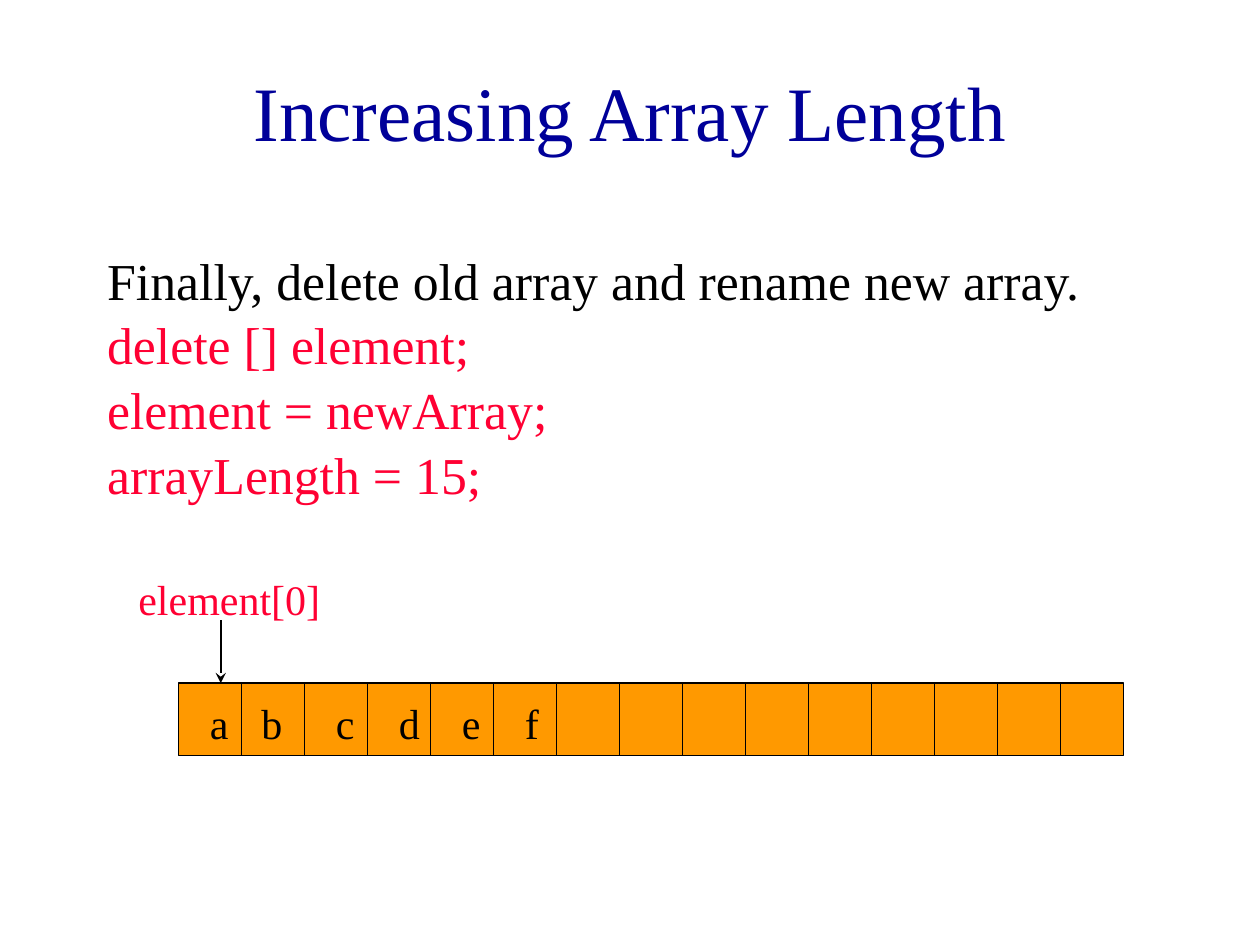
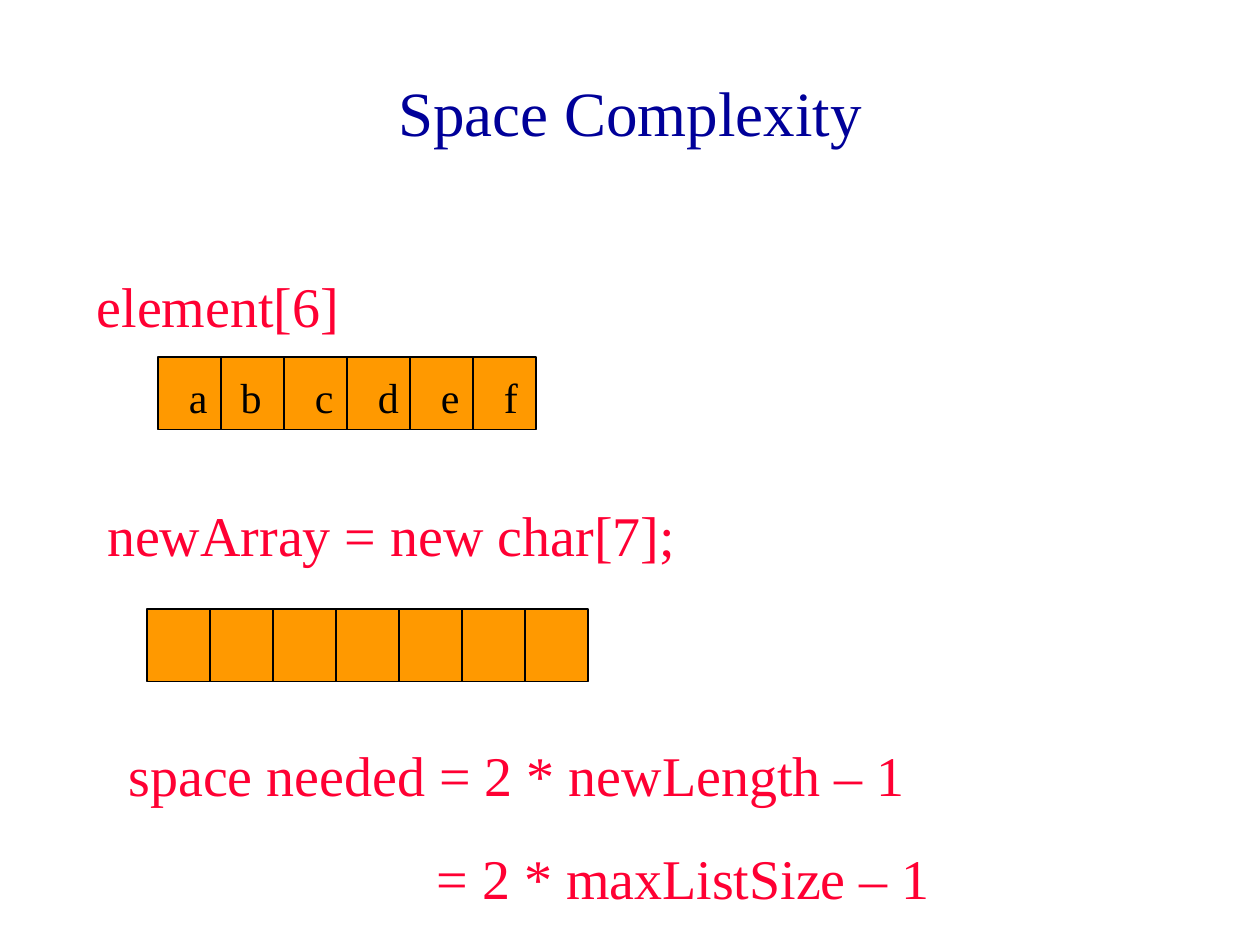
"""Build two slides on growing an array and the space that it needs."""
from dataclasses import dataclass

from lxml.etree import SubElement
from pptx import Presentation
from pptx.dml.color import RGBColor
from pptx.enum.shapes import MSO_CONNECTOR as Connector, MSO_SHAPE as Preset
from pptx.enum.text import MSO_ANCHOR as Anchor, MSO_AUTO_SIZE as AutoSize, PP_ALIGN as Align
from pptx.oxml.ns import qn
from pptx.slide import Slide
from pptx.text.text import TextFrame
from pptx.util import Cm, Pt

NAVY = RGBColor(0x00, 0x00, 0x99)
RED = RGBColor(0xFF, 0x00, 0x33)
ORANGE = RGBColor(0xFF, 0x99, 0x00)
BLACK = RGBColor(0x00, 0x00, 0x00)
FONT = "Times New Roman"
LINE_WIDTH = Pt(1)
CELL_WIDTH = 1.27
CELL_HEIGHT = 1.46
LETTER_INSET = 0.38
LETTER_DROP = 0.16
B_SHIFT = 0.23


@dataclass
class Area:
    left: float
    top: float
    width: float
    height: float

    def lengths(self) -> tuple[Cm, Cm, Cm, Cm]:
        return Cm(self.left), Cm(self.top), Cm(self.width), Cm(self.height)


@dataclass
class Line:
    text: str
    color: RGBColor = RED
    before: float = 0
    indent: float = 0


@dataclass
class CharArray:
    left: float
    top: float
    cells: int
    letters: str = ""


def write(frame: TextFrame, lines: list[Line], *, size: float, align: Align = Align.LEFT,
          anchor: Anchor = Anchor.TOP, spacing: float = 1.0) -> None:
    frame.word_wrap = True
    frame.auto_size = AutoSize.NONE
    frame.vertical_anchor = anchor
    for index, line in enumerate(lines):
        para = frame.add_paragraph() if index else frame.paragraphs[0]
        if line.indent:
            para._p.get_or_add_pPr().set("marL", str(Cm(line.indent)))
        para.alignment = align
        para.line_spacing = spacing
        para.space_before = Pt(line.before)
        span = para.add_run()
        span.text = line.text
        span.font.name = FONT
        span.font.size = Pt(size)
        span.font.color.rgb = line.color


def add_text(page: Slide, area: Area, lines: list[Line], *, size: float,
             spacing: float = 1.0) -> None:
    box = page.shapes.add_textbox(*area.lengths())
    write(box.text_frame, lines, size=size, spacing=spacing)


def add_page(deck: Presentation, title: str, area: Area, *, size: float) -> Slide:
    page = deck.slides.add_slide(deck.slide_layouts[5])
    heading = page.shapes.title
    heading.left, heading.top, heading.width, heading.height = area.lengths()
    write(heading.text_frame, [Line(title, NAVY)], size=size,
          align=Align.CENTER, anchor=Anchor.MIDDLE)
    return page


def add_vertical(page: Slide, x: float, top: float, bottom: float, *,
                 arrow: bool = False) -> None:
    line = page.shapes.add_connector(Connector.STRAIGHT, Cm(x), Cm(top), Cm(x), Cm(bottom))
    line.line.color.rgb = BLACK
    line.line.width = LINE_WIDTH
    if arrow:
        SubElement(line.line._get_or_add_ln(), qn("a:tailEnd"), type="stealth")
    SubElement(line._element.spPr, qn("a:effectLst"))


def draw_array(page: Slide, array: CharArray) -> None:
    area = Area(array.left, array.top, array.cells * CELL_WIDTH, CELL_HEIGHT)
    strip = page.shapes.add_shape(Preset.RECTANGLE, *area.lengths())
    strip.shadow.inherit = False
    strip.fill.solid()
    strip.fill.fore_color.rgb = ORANGE
    strip.line.color.rgb = BLACK
    strip.line.width = LINE_WIDTH
    for index in range(1, array.cells):
        add_vertical(page, array.left + index * CELL_WIDTH, array.top, array.top + CELL_HEIGHT)
    for index, letter in enumerate(array.letters):
        x = array.left + LETTER_INSET + index * CELL_WIDTH - (B_SHIFT if letter == "b" else 0)
        add_text(page, Area(x, array.top + LETTER_DROP, 1.0, 1.27), [Line(letter, BLACK)], size=24)


def build_length_page(deck: Presentation) -> None:
    page = add_page(deck, "Increasing Array Length", Area(1.91, 0.64, 21.59, 3.18), size=44)
    add_text(page, Area(1.91, 4.88, 22.86, 5.69), [
        Line("Finally, delete old array and rename new array.", BLACK),
        Line("delete [] element;", before=1.6),
        Line("element = newArray;", before=1.6),
        Line("arrayLength = 15;", before=1.6),
    ], size=29.6)
    draw_array(page, CharArray(3.6, 13.77, 15, "abcdef"))
    add_text(page, Area(2.54, 11.43, 5.72, 1.27), [Line("element[0]")], size=24)
    add_vertical(page, 4.45, 12.5, 13.77, arrow=True)


def build_space_page(deck: Presentation) -> None:
    page = add_page(deck, "Space Complexity", Area(1.91, 1.07, 21.59, 2.34), size=36)
    draw_array(page, CharArray(2.97, 12.28, 7))
    add_text(page, Area(1.91, 9.96, 14.81, 1.6), [Line("newArray = new char[7];")], size=32)
    add_text(page, Area(2.34, 14.81, 19.25, 3.68), [
        Line("space needed = 2 * newLength – 1"),
        Line("= 2 * maxListSize – 1", before=20, indent=6.21),
    ], size=32)
    add_text(page, Area(1.7, 5.51, 6.55, 1.47), [Line("element[6]")], size=32, spacing=0.9)
    draw_array(page, CharArray(3.18, 7.2, 6, "abcdef"))


def main() -> None:
    deck = Presentation()
    deck.slide_width, deck.slide_height = Cm(25.4), Cm(19.05)
    build_length_page(deck)
    build_space_page(deck)
    deck.save("out.pptx")


if __name__ == "__main__":
    main()
